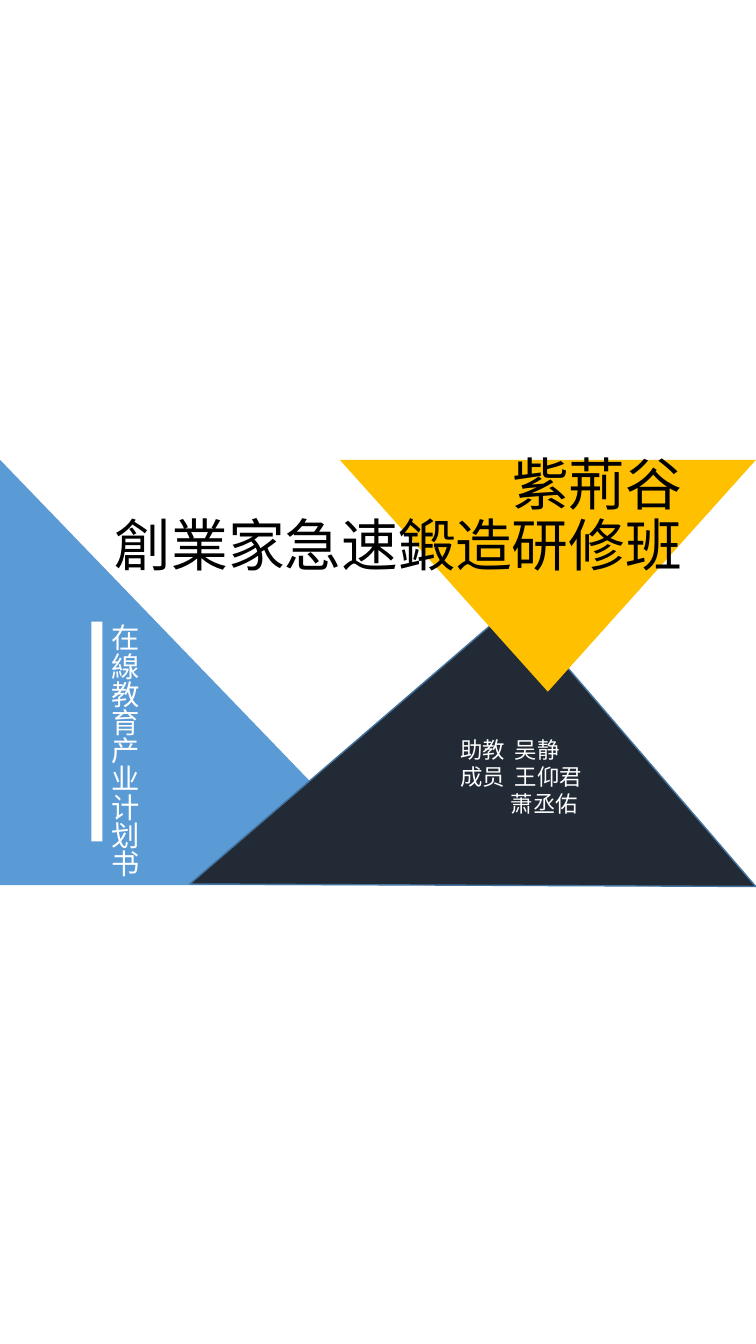
from lxml import etree
from pptx import Presentation
from pptx.dml.color import RGBColor
from pptx.enum import shapes, text
from pptx.oxml.ns import qn
from pptx.util import Inches, Pt

FONT = "Noto Sans CJK SC"
BLUE = RGBColor(0x5B, 0x9B, 0xD5)
NAVY = RGBColor(0x22, 0x2A, 0x35)
EDGE = RGBColor(0x43, 0x73, 0x9E)
GOLD = RGBColor(0xFF, 0xC0, 0x00)
WHITE = RGBColor(0xFF, 0xFF, 0xFF)
BLACK = RGBColor(0x00, 0x00, 0x00)


def add_block(slide, kind, box, color, rotation=0, edge=None):
    sp = slide.shapes.add_shape(kind, *map(Inches, box))
    sp.shadow.inherit = False
    sp.rotation = rotation
    sp.fill.solid()
    sp.fill.fore_color.rgb = color
    if edge is None:
        sp.line.fill.background()
    else:
        sp.line.color.rgb = edge
        sp.line.width = Pt(1)


def add_run(p, words, size, color):
    r = p.add_run()
    r.text = words
    r.font.size = Pt(size)
    r.font.color.rgb = color
    r.font.name = FONT
    etree.SubElement(r.font._element, qn("a:ea"), typeface=FONT)


def add_vertical_label(slide, box, words):
    sp = slide.shapes.add_textbox(*map(Inches, box))
    tf = sp.text_frame
    tf.word_wrap = False
    tf._txBody.bodyPr.set("vert", "eaVert")
    add_run(tf.paragraphs[0], words, 20.2, WHITE)


def add_team(slide, box, members):
    """List (role, name) pairs; a name without a role is indented."""
    tf = slide.shapes.add_textbox(*map(Inches, box)).text_frame
    tf.word_wrap = True
    for i, (role, name) in enumerate(members):
        p = tf.add_paragraph() if i else tf.paragraphs[0]
        pPr = p._p.get_or_add_pPr()
        if role:
            tabs = etree.SubElement(pPr, qn("a:tabLst"))
            etree.SubElement(tabs, qn("a:tab"), pos=str(Inches(0.54)), algn="l")
            add_run(p, f"{role}\t{name}", 16, WHITE)
        else:
            pPr.set("marL", str(Inches(0.5)))
            pPr.set("indent", "0")
            add_run(p, name, 16, WHITE)


def set_title(slide, box, lines):
    title = slide.shapes.title
    title.left, title.top, title.width, title.height = map(Inches, box)
    tf = title.text_frame
    tf.word_wrap = True
    tf.auto_size = text.MSO_AUTO_SIZE.NONE
    tf.vertical_anchor = text.MSO_ANCHOR.BOTTOM
    p = tf.paragraphs[0]
    p.alignment = text.PP_ALIGN.RIGHT
    p.line_spacing = 0.9
    for i, line in enumerate(lines):
        if i:
            p.add_line_break()
        add_run(p, line, 40.5, BLACK)
    # The title lies in front of the triangles.
    slide.shapes._spTree.append(title._element)


def main():
    prs = Presentation()
    prs.slide_width, prs.slide_height = Inches(7.5), Inches(13.33)
    slide = prs.slides.add_slide(prs.slide_layouts[5])
    kind = shapes.MSO_SHAPE

    add_block(slide, kind.RIGHT_TRIANGLE, (0, 4.56, 4.07, 4.22), BLUE)
    add_block(slide, kind.RIGHT_TRIANGLE, (2.57, 6.94, 4.24, 3.68), NAVY, 139.3, EDGE)
    add_block(slide, kind.RECTANGLE, (-0.13, 7.2, 2.18, 0.11), WHITE, 90)
    add_vertical_label(slide, (0.91, 6.09, 0.54, 2.66), "在線教育产业计划书")
    add_team(slide, (4.47, 7.25, 1.92, 1.45),
             [("助教", "吴静"), ("成员", "王仰君"), ("", "萧丞佑")])
    add_block(slide, kind.ISOSCELES_TRIANGLE, (3.37, 4.56, 4.13, 2.3), GOLD, 180)
    set_title(slide, (0, 5.04, 6.87, 0.75), ["紫荊谷", "創業家急速鍛造研修班"])
    prs.save("out.pptx")


if __name__ == "__main__":
    main()
